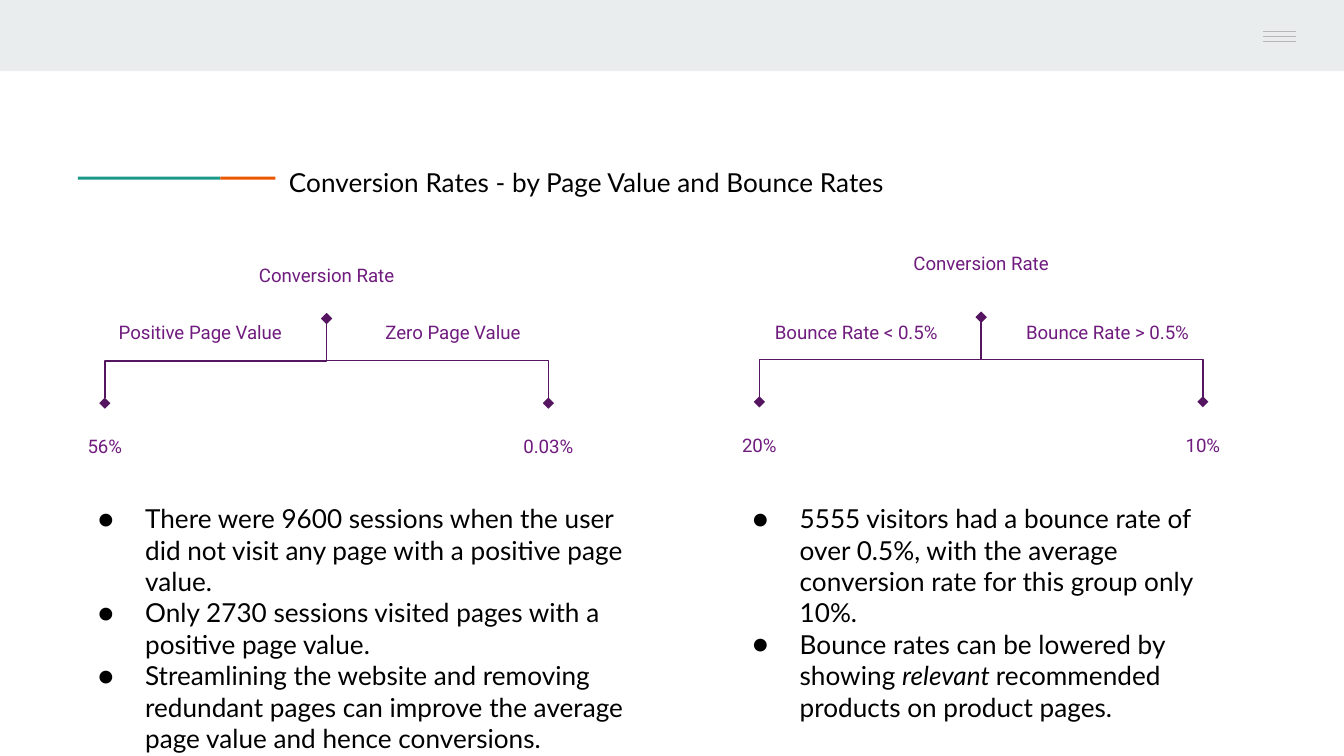
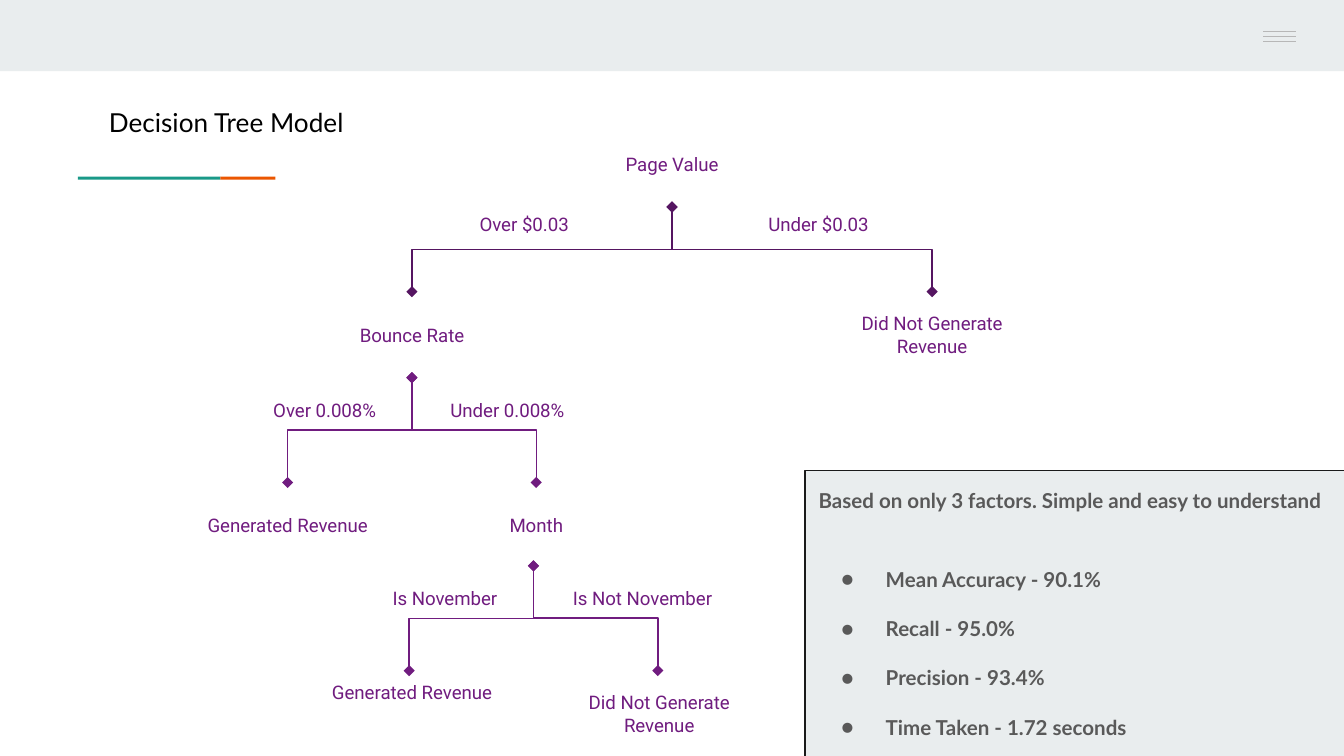
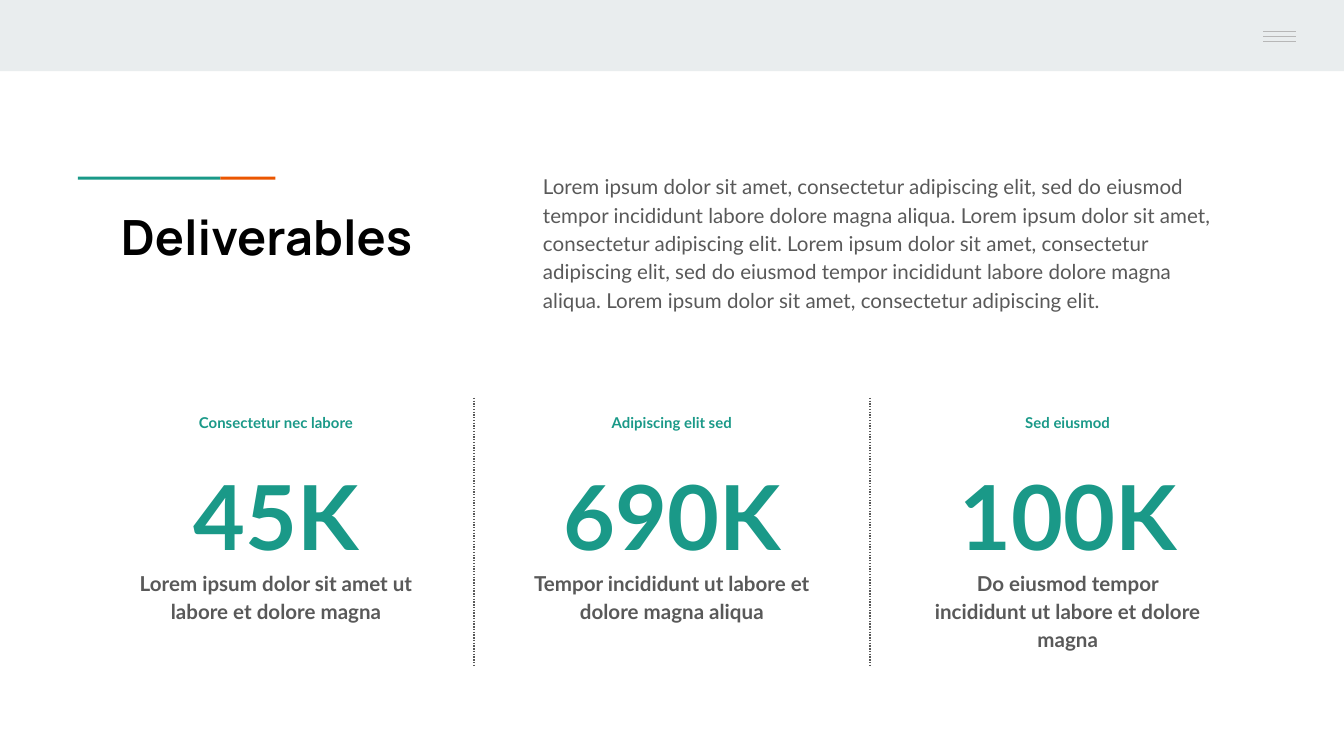
from dataclasses import dataclass
from typing import NamedTuple

import pptx
import pptx.util
import pptx.dml.color
import pptx.enum.dml
import pptx.enum.shapes
import pptx.enum.text
import pptx.oxml
import pptx.oxml.ns
from lxml import etree

COLORS = {
    "band": "E9EDEE", "teal": "1A9988", "orange": "EB5600", "menu": "B7B7B7",
    "black": "000000", "gray": "595959", "edge": "1A1A1A",
    "plum": "551561", "violet": "701C7F",
}
COLUMNS, ROWS = 100, 56.25
WIDTH, HEIGHT = pptx.util.Inches(10), pptx.util.Inches(5.625)
LABEL_ROWS = 6.4
ALIGN = pptx.enum.text.PP_ALIGN
ANCHOR = pptx.enum.text.MSO_ANCHOR
CONNECTOR = pptx.enum.shapes.MSO_CONNECTOR


class Box(NamedTuple):
    """A frame in grid columns and rows."""
    left: float
    top: float
    width: float
    height: float


@dataclass(frozen=True)
class Style:
    size: float
    color: str = "black"
    font: str = "Lato"
    bold: bool = False
    align: ALIGN = ALIGN.LEFT
    line: float = 1.0
    after: float = 0
    bullet_indent: float = 0


class Para(NamedTuple):
    runs: list[str]
    style: Style
    before: float = 0
    italic_run: int = -1


class Branch(NamedTuple):
    text: str
    offset: float
    width: float


class Leaf(NamedTuple):
    text: str
    offset: float = 0
    shift: float = 0


@dataclass(frozen=True)
class Tree:
    """A two-way split: top is the row where the stem leaves its root label."""
    x: float
    top: float
    reach: float
    drop: float
    color: str
    label_width: float
    branch_rise: float
    branches: tuple[Branch, Branch]
    leaves: tuple[Leaf, Leaf]
    root: str = ""
    root_lift: float = 0


class Figure(NamedTuple):
    heading: str
    value: str
    caption: str


HEADLINE = Style(14)
LIST = Style(14, bullet_indent=3.5)
NODE = Style(10, "violet", "Roboto", align=ALIGN.CENTER)
PANEL_LEAD = Style(11, "gray", bold=True, line=1.15)
PANEL_ITEM = Style(11, "gray", bold=True, line=2, bullet_indent=3.3)
DELIVERABLES = Style(26, "black", "Manrope", bold=True)
PROSE = Style(11, "gray", line=1.15, after=16)
HEADING = Style(8, "teal", bold=True, align=ALIGN.CENTER, line=1.15, after=16)
VALUE = Style(48, "teal", bold=True, align=ALIGN.CENTER, line=1.15, after=16)
CAPTION = Style(11, "gray", bold=True, align=ALIGN.CENTER, line=1.15, after=16)

RATE_TREES = [
    Tree(24.3, 23.7, 16.5, 6.3, "plum", 14.4, 2.2,
         (Branch("Positive Page Value", -9.4, 14.4), Branch("Zero Page Value", 9.4, 14.4)),
         (Leaf("56%"), Leaf("0.03%")), "Conversion Rate"),
    Tree(73, 23.6, 16.5, 6.3, "plum", 14.4, 2.1,
         (Branch("Bounce Rate < 0.5%", -9.3, 14.4), Branch("Bounce Rate > 0.5%", 9.4, 14.4)),
         (Leaf("20%"), Leaf("10%")), "Conversion Rate", root_lift=1.6),
]
MODEL_TREES = [
    Tree(50, 15.4, 19.35, 6.3, "plum", 16.8, 1.9,
         (Branch("Over $0.03", -11, 16.8), Branch("Under $0.03", 10.9, 16.8)),
         (Leaf("Bounce Rate"), Leaf("Did Not Generate Revenue")), "Page Value"),
    Tree(30.65, 28.1, 9.25, 7.8, "violet", 16.8, 0.8,
         (Branch("Over 0.008%", -6.5, 9.8), Branch("Under 0.008%", 7.1, 11.7)),
         (Leaf("Generated Revenue"), Leaf("Month"))),
    Tree(39.7, 42.1, 9.25, 7.8, "violet", 16.8, 0.8,
         (Branch("Is November", -6.6, 9.8), Branch("Is Not November", 8.1, 13.5)),
         (Leaf("Generated Revenue", 0.2, -1.6), Leaf("Did Not Generate Revenue", 0.1))),
]
FIGURES = [
    Figure("Consectetur nec labore", "45K", "Lorem ipsum dolor sit amet ut labore et dolore magna"),
    Figure("Adipiscing elit sed", "690K", "Tempor incididunt ut labore et dolore magna aliqua"),
    Figure("Sed eiusmod", "100K", "Do eiusmod tempor incididunt ut labore et dolore magna"),
]


def rgb(name: str) -> pptx.dml.color.RGBColor:
    return pptx.dml.color.RGBColor.from_string(COLORS[name])


def col(n: float) -> int:
    return round(WIDTH * n / COLUMNS)


def row(n: float) -> int:
    return round(HEIGHT * n / ROWS)


def frame(box: Box) -> tuple[int, int, int, int]:
    return col(box.left), row(box.top), col(box.width), row(box.height)


def add_child(parent, tag: str, **attributes: str):
    return etree.SubElement(parent, pptx.oxml.ns.qn(tag), attributes)


def set_bullet(p, style: Style) -> None:
    pPr = p._p.get_or_add_pPr()
    if style.bullet_indent:
        pPr.set("marL", str(col(5)))
        pPr.set("indent", str(-col(style.bullet_indent)))
        add_child(add_child(pPr, "a:buClr"), "a:srgbClr", val=COLORS[style.color])
        add_child(pPr, "a:buFont", typeface=style.font)
        add_child(pPr, "a:buChar", char="●")
    else:
        pPr.set("marL", "0")
        pPr.set("indent", "0")
        add_child(pPr, "a:buNone")


def write(sp, paras: list[Para], anchor: ANCHOR = ANCHOR.TOP) -> None:
    tf = sp.text_frame
    tf.word_wrap = True
    tf.auto_size = pptx.enum.text.MSO_AUTO_SIZE.NONE
    tf.vertical_anchor = anchor
    tf.margin_left = tf.margin_right = tf.margin_top = tf.margin_bottom = col(1)
    for i, para in enumerate(paras):
        style = para.style
        p = tf.add_paragraph() if i else tf.paragraphs[0]
        set_bullet(p, style)
        p.alignment = style.align
        p.line_spacing = style.line
        p.space_before = pptx.util.Pt(para.before)
        p.space_after = pptx.util.Pt(style.after)
        for j, text in enumerate(para.runs):
            r = p.add_run()
            r.text = text
            r.font.name = style.font
            r.font.size = pptx.util.Pt(style.size)
            r.font.bold = style.bold
            r.font.italic = j == para.italic_run
            r.font.color.rgb = rgb(style.color)


def fill_placeholder(sp, box: Box, paras: list[Para]) -> None:
    sp.left, sp.top, sp.width, sp.height = frame(box)
    write(sp, paras)


def add_text(slide, box: Box, text: str, style: Style, anchor: ANCHOR = ANCHOR.TOP):
    sp = slide.shapes.add_textbox(*frame(box))
    write(sp, [Para([text], style)], anchor)
    return sp


def add_rect(slide, box: Box, fill: str, line: str = ""):
    sp = slide.shapes.add_shape(pptx.enum.shapes.MSO_SHAPE.RECTANGLE, *frame(box))
    sp.shadow.inherit = False
    sp.fill.solid()
    sp.fill.fore_color.rgb = rgb(fill)
    if line:
        sp.line.color.rgb = rgb(line)
        sp.line.width = pptx.util.Pt(0.75)
    else:
        sp.line.fill.background()
    return sp


def add_line(slide, box: Box, color: str, kind: CONNECTOR = CONNECTOR.STRAIGHT):
    left, top, width, height = frame(box)
    sp = slide.shapes.add_connector(kind, left, top, left + width, top + height)
    sp.line.color.rgb = rgb(color)
    sp.line.width = pptx.util.Pt(0.75)
    add_child(sp.element.spPr, "a:effectLst")
    return sp


def add_branch(slide, tree: Tree, side: int) -> None:
    """Draw one elbow, turned a quarter so that it runs down, across, down."""
    center_x = tree.x + side * tree.reach / 2
    center_y = tree.top + tree.drop / 2
    box = Box(center_x - tree.drop / 2, center_y - tree.reach / 2, tree.drop, tree.reach)
    sp = add_line(slide, box, tree.color, CONNECTOR.ELBOW)
    xfrm = sp.element.spPr.find(pptx.oxml.ns.qn("a:xfrm"))
    xfrm.set("rot", "16200000")
    if side > 0:
        xfrm.set("flipH", "1")
    ln = sp.line._get_or_add_ln()
    for end in ("a:headEnd", "a:tailEnd"):
        add_child(ln, end, type="diamond", w="med", len="med")


def add_label(slide, text: str, center: float, top: float, width: float):
    box = Box(center - width / 2, top, width, LABEL_ROWS)
    return add_text(slide, box, text, NODE, ANCHOR.MIDDLE)


def add_tree(slide, tree: Tree) -> None:
    if tree.root:
        sp = add_label(slide, tree.root, tree.x, tree.top - LABEL_ROWS, tree.label_width)
        sp.text_frame.margin_bottom = row(1 + tree.root_lift)
    for side, branch, leaf in zip((-1, 1), tree.branches, tree.leaves):
        add_branch(slide, tree, side)
        add_label(slide, branch.text, tree.x + branch.offset,
                  tree.top - tree.branch_rise, branch.width)
        add_label(slide, leaf.text, tree.x + side * tree.reach + leaf.offset,
                  tree.top + tree.drop + leaf.shift, tree.label_width)


def furnish_master(prs, slide) -> None:
    """Draw the shared band, accent and menu mark, and move them to the master."""
    shapes = [
        add_rect(slide, Box(0, 0, COLUMNS, 5.3), "band"),
        add_rect(slide, Box(5.8, 13.15, 10.6, 0.22), "teal"),
        add_rect(slide, Box(16.4, 13.15, 4.1, 0.22), "orange"),
    ]
    shapes += [add_line(slide, Box(94, 2.35 + 0.36 * i, 2.4, 0), "menu") for i in range(3)]
    for sp in shapes:
        prs.slide_master.element.cSld.spTree.append(sp.element)


def build_rates(slide) -> None:
    title, left_list, right_list = slide.placeholders
    fill_placeholder(title, Box(20.5, 11.4, 58.4, 4.1),
                     [Para(["Conversion Rates - by Page Value and Bounce Rates"], HEADLINE)])
    fill_placeholder(left_list, Box(4.8, 36.4, 43.2, 19.8), [
        Para(["There were 9600 sessions when the user did not visit any page "
              "with a positive page value."], LIST),
        Para(["Only 2730 sessions visited pages with a positive page value."], LIST),
        Para(["Streamlining the website and removing redundant pages can improve "
              "the average page value and hence conversions."], LIST),
    ])
    fill_placeholder(right_list, Box(53.5, 36.4, 38.9, 18.7), [
        Para(["5555 visitors had a bounce rate of over 0.5%, with the average "
              "conversion rate for this group only 10%."], LIST),
        Para(["Bounce rates can be lowered by showing ", "relevant ",
              "recommended products on product pages."], LIST, italic_run=1),
    ])
    for tree in RATE_TREES:
        add_tree(slide, tree)


def build_model(slide) -> None:
    title, body = slide.placeholders
    fill_placeholder(title, Box(7.1, 6.9, 31.8, 4.1), [Para(["Decision Tree Model"], HEADLINE)])
    for tree in MODEL_TREES:
        add_tree(slide, tree)
    panel = add_rect(slide, Box(59.9, 35, 40.3, 21.3), "band", "edge")
    body.element.addprevious(panel.element)
    items = ["Mean Accuracy - 90.1%", "Recall - 95.0%", "Precision - 93.4%",
             "Time Taken - 1.72 seconds"]
    lead = Para(["Based on only 3 factors. Simple and easy to understand"], PANEL_LEAD)
    fill_placeholder(body, Box(59.9, 35, 41.1, 21.3), [lead] + [
        Para([item], PANEL_ITEM, before=0 if i else 16) for i, item in enumerate(items)])


def build_deliverables(slide) -> None:
    title, body = slide.placeholders
    fill_placeholder(title, Box(8, 14.4, 30.6, 11.3), [Para(["Deliverables"], DELIVERABLES)])
    fill_placeholder(body, Box(39.4, 11.7, 52.5, 11.3), [Para([
        "Lorem ipsum dolor sit amet, consectetur adipiscing elit, sed do eiusmod tempor "
        "incididunt labore dolore magna aliqua. Lorem ipsum dolor sit amet, consectetur "
        "adipiscing elit. Lorem ipsum dolor sit amet, consectetur adipiscing elit, sed do "
        "eiusmod tempor incididunt labore dolore magna aliqua. Lorem ipsum dolor sit amet, "
        "consectetur adipiscing elit."], PROSE)])
    pitch = 29.45
    for i, figure in enumerate(FIGURES):
        center = COLUMNS / 2 + (i - 1) * pitch
        add_text(slide, Box(center - 9.65, 29.6, 19.3, 2.5), figure.heading, HEADING)
        add_text(slide, Box(center - 12.6, 32.1, 25.2, 10.4), figure.value, VALUE)
        add_text(slide, Box(center - 11.3, 41.2, 22.6, 8.1), figure.caption, CAPTION)
        if i:
            divider = add_line(slide, Box(center - pitch / 2, 29.6, 0, 20), "gray")
            divider.line.dash_style = pptx.enum.dml.MSO_LINE.ROUND_DOT


def main() -> None:
    prs = pptx.Presentation()
    prs.slide_width, prs.slide_height = WIDTH, HEIGHT
    one_body, two_bodies = prs.slide_layouts[1], prs.slide_layouts[3]
    rates, model, deliverables = (
        prs.slides.add_slide(layout) for layout in (two_bodies, one_body, one_body))
    furnish_master(prs, rates)
    build_rates(rates)
    build_model(model)
    build_deliverables(deliverables)
    prs.save("out.pptx")


if __name__ == "__main__":
    main()
